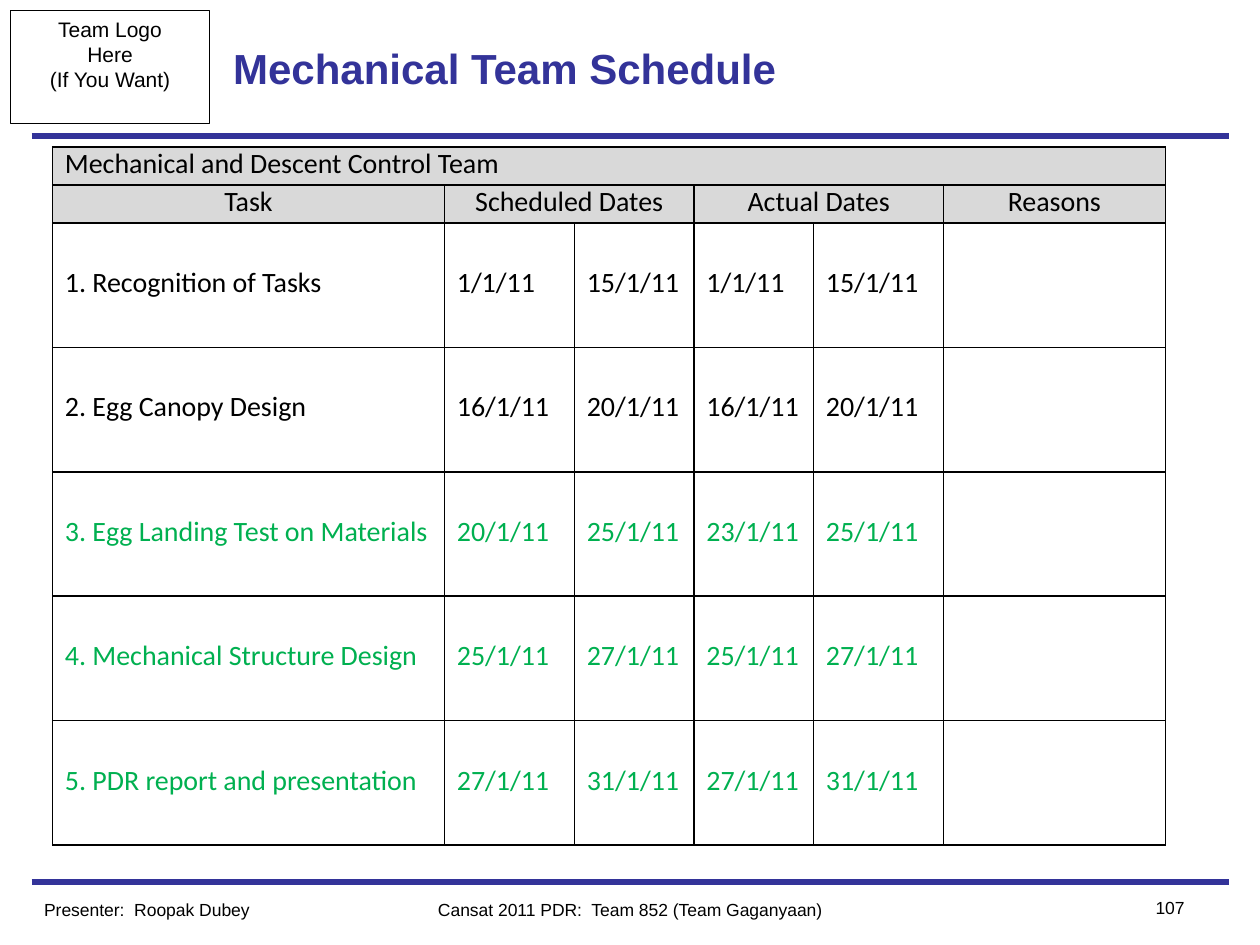
from lxml import etree
from pptx import Presentation
from pptx.dml.color import RGBColor
from pptx.enum import shapes, text
from pptx.oxml import ns
from pptx.util import Cm, Pt

NAVY = RGBColor(0x33, 0x33, 0x99)
BLACK = RGBColor(0, 0, 0)
GREEN = RGBColor(0x00, 0xB0, 0x50)
GREY = RGBColor(0xD9, 0xD9, 0xD9)

LEFT, CENTER, RIGHT = text.PP_ALIGN.LEFT, text.PP_ALIGN.CENTER, text.PP_ALIGN.RIGHT
MIDDLE = text.MSO_ANCHOR.MIDDLE

COLUMNS = [7.9, 2.62, 2.41, 2.41, 2.62, 4.47]
HEADER_HEIGHT, TASK_HEIGHT = 0.76, 2.51
HEADER_ROWS = 2

# (row, first column, last column, text, alignment)
HEADERS = [
    (0, 0, 5, "Mechanical and Descent Control Team", LEFT),
    (1, 0, 0, "Task", CENTER),
    (1, 1, 2, "Scheduled Dates", CENTER),
    (1, 3, 4, "Actual Dates", CENTER),
    (1, 5, 5, "Reasons", CENTER),
]
TASKS = [
    (BLACK, "1. Recognition of Tasks", "1/1/11", "15/1/11", "1/1/11", "15/1/11"),
    (BLACK, "2. Egg Canopy Design", "16/1/11", "20/1/11", "16/1/11", "20/1/11"),
    (GREEN, "3. Egg Landing Test on Materials", "20/1/11", "25/1/11", "23/1/11", "25/1/11"),
    (GREEN, "4. Mechanical Structure Design", "25/1/11", "27/1/11", "25/1/11", "27/1/11"),
    (GREEN, "5. PDR report and presentation", "27/1/11", "31/1/11", "27/1/11", "31/1/11"),
]


class ScheduleSlide:
    font = "Arial"
    table_font = "Calibri"
    table_size = 16

    def __init__(self, prs):
        self.s = prs.slides.add_slide(prs.slide_layouts[6])

    def style(self, p, size, color=BLACK, align=LEFT, bold=False, font=None):
        p.alignment = align
        p.font.name = font or self.font
        p.font.size = Pt(size)
        p.font.bold = bold
        p.font.color.rgb = color

    def rule(self, y):
        line = self.s.shapes.add_connector(
            shapes.MSO_CONNECTOR.STRAIGHT, Cm(0.64), Cm(y), Cm(24.77), Cm(y))
        line.line.color.rgb = NAVY
        line.line.width = Pt(3)
        etree.SubElement(line._element.spPr, ns.qn("a:effectLst"))

    def logo_box(self, x, y, w, h, lines):
        sp = self.s.shapes.add_shape(
            shapes.MSO_SHAPE.RECTANGLE, Cm(x), Cm(y), Cm(w), Cm(h))
        sp.shadow.inherit = False
        sp.fill.background()
        sp.line.color.rgb = BLACK
        sp.line.width = Pt(0.5)
        tf = sp.text_frame
        tf.word_wrap = False
        tf.vertical_anchor = text.MSO_ANCHOR.TOP
        tf.text = "\n".join(lines)
        for p in tf.paragraphs:
            self.style(p, 12, align=CENTER)

    def label(self, x, y, w, h, words, size=10, anchor=text.MSO_ANCHOR.TOP, **look):
        tf = self.s.shapes.add_textbox(Cm(x), Cm(y), Cm(w), Cm(h)).text_frame
        tf.word_wrap = True
        tf.vertical_anchor = anchor
        tf.text = words
        self.style(tf.paragraphs[0], size, **look)

    def border(self, cell):
        tc_pr = cell._tc.get_or_add_tcPr()
        for side in ("lnL", "lnR", "lnT", "lnB"):
            ln = etree.SubElement(tc_pr, ns.qn(f"a:{side}"), w=str(Pt(1)))
            fill = etree.SubElement(ln, ns.qn("a:solidFill"))
            etree.SubElement(fill, ns.qn("a:srgbClr"), val=str(BLACK))

    def cell_text(self, cell, words, color=BLACK, align=LEFT):
        cell.text = words
        p = cell.text_frame.paragraphs[0]
        p.line_spacing = 0.82
        self.style(p, self.table_size, color, align, font=self.table_font)

    def schedule(self, x, y):
        heights = [HEADER_HEIGHT] * HEADER_ROWS + [TASK_HEIGHT] * len(TASKS)
        table = self.s.shapes.add_table(
            len(heights), len(COLUMNS), Cm(x), Cm(y),
            Cm(sum(COLUMNS)), Cm(sum(heights))).table
        for column, width in zip(table.columns, COLUMNS):
            column.width = Cm(width)
        for i, height in enumerate(heights):
            table.rows[i].height = Cm(height)
            for cell in table.rows[i].cells:
                cell.vertical_anchor = MIDDLE
                cell.margin_left = cell.margin_right = Cm(0.25)
                cell.margin_top, cell.margin_bottom = Cm(0.08), Cm(0.13)
                self.border(cell)
                if i < HEADER_ROWS:
                    cell.fill.solid()
                    cell.fill.fore_color.rgb = GREY
                else:
                    cell.fill.background()
        for row, first, last, words, align in HEADERS:
            cell = table.cell(row, first)
            if last > first:
                cell.merge(table.cell(row, last))
            self.cell_text(cell, words, align=align)
        for row, (color, *values) in enumerate(TASKS, HEADER_ROWS):
            for col, words in enumerate(values):
                self.cell_text(table.cell(row, col), words, color)


def main():
    prs = Presentation()
    prs.slide_width, prs.slide_height = Cm(25.4), Cm(19.05)
    slide = ScheduleSlide(prs)
    for y in (17.78, 2.74):
        slide.rule(y)
    slide.logo_box(0.21, 0.21, 4.02, 2.29, ["Team Logo", "Here", "(If You Want)"])
    slide.label(4.45, 0.21, 16.51, 2.33, "Mechanical Team Schedule",
                size=24, anchor=MIDDLE, color=NAVY, bold=True)
    slide.label(7.62, 17.99, 10.16, 0.68,
                "Cansat 2011 PDR:  Team 852 (Team Gaganyaan)", align=CENTER)
    slide.label(22.23, 17.95, 1.9, 0.68, "107", align=RIGHT)
    slide.schedule(1.06, 2.96)
    slide.label(0.64, 17.99, 6.35, 0.68, "Presenter:  Roopak Dubey")
    prs.save("out.pptx")


if __name__ == "__main__":
    main()
